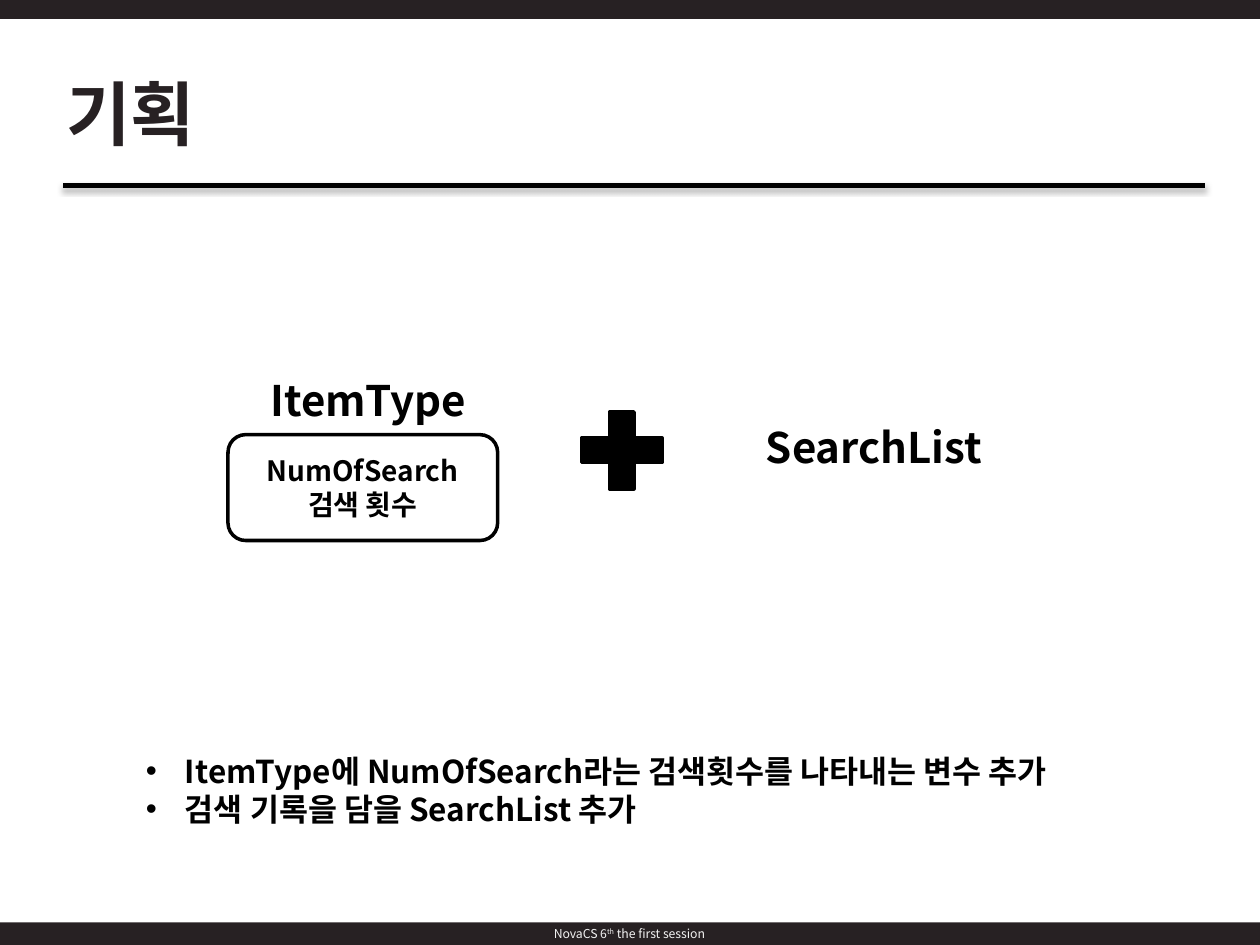
import pptx
import pptx.util
import pptx.dml.color
import pptx.enum.shapes
import pptx.enum.text
import pptx.oxml
import pptx.oxml.ns

KIND = pptx.enum.shapes.MSO_SHAPE
ALIGN = pptx.enum.text.PP_ALIGN
ANCHOR = pptx.enum.text.MSO_ANCHOR
FIT = pptx.enum.text.MSO_AUTO_SIZE
WIDE, HIGH = 10, 7.5
BAR = 0.18

THEME = {
    "font": "Noto Sans CJK KR",
    "ink": "000000", "dark": "272123", "pale": "F2F2F2", "edge": "D9D9D9",
    "title": 40, "head": 24, "body": 18, "box": 16, "foot": 7,
    "rule": 3, "line": 2, "glow": 0.75,
}

BARS = [-0.03, HIGH - BAR]
FOOT = [[("NovaCS 6", 0), ("th", 30), (" the first session", 0)]]
TEXTS = [
    ((0.43, 0.51, 4.5, 0.77), "title", "dark", ["기획"], False),
    ((1.06, 5.92, 7.88, 0.71), "body", "ink", [
        "ItemType에 NumOfSearch라는 검색횟수를 나타내는 변수 추가",
        "검색 기록을 담을 SearchList 추가"], True),
    ((2.05, 2.92, 1.8, 0.5), "head", "ink", ["ItemType"], False),
    ((5.98, 3.3, 1.97, 0.5), "head", "ink", ["SearchList"], False),
]
FIELD = ["NumOfSearch", "검색 횟수"]


def inch(*nums):
    return [pptx.util.Inches(n) for n in nums]


def tint(name):
    return pptx.dml.color.RGBColor.from_string(THEME[name])


def node(xml):
    return pptx.oxml.parse_xml(xml.replace(">", f' {pptx.oxml.ns.nsdecls("a")}>', 1))


def write(frame, paras, size, color, bold=True, align=None, edge=None, dots=False):
    frame.word_wrap = True
    for i, parts in enumerate(paras):
        para = frame.paragraphs[0] if i == 0 else frame.add_paragraph()
        para.alignment = align
        if dots:
            props = para._p.get_or_add_pPr()
            gap = pptx.util.Inches(0.31)
            props.set("marL", str(gap))
            props.set("indent", str(-gap))
            props.append(node('<a:buFont typeface="Arial"></a:buFont>'))
            props.append(node('<a:buChar char="•"></a:buChar>'))
        for text, base in parts:
            run = para.add_run()
            run.text = text
            font = run.font
            font.name, font.bold = THEME["font"], bold
            font.size = pptx.util.Pt(THEME[size])
            font.color.rgb = tint(color)
            props = run._r.get_or_add_rPr()
            latin = props.find(pptx.oxml.ns.qn("a:latin"))
            latin.addnext(node(f'<a:ea typeface="{THEME["font"]}"></a:ea>'))
            if base:
                props.set("baseline", str(base * 1000))
            if edge:
                wide = pptx.util.Pt(THEME["glow"])
                props.insert(0, node(
                    f'<a:ln w="{wide}"><a:solidFill><a:srgbClr val="{THEME[edge]}">'
                    '<a:alpha val="30000"/></a:srgbClr></a:solidFill></a:ln>'))


def draw(kind, spot, fill=None, line=None):
    item = slide.shapes.add_shape(kind, *inch(*spot))
    item.shadow.inherit = False
    if fill:
        item.fill.solid()
        item.fill.fore_color.rgb = tint(fill)
    else:
        item.fill.background()
    if line:
        item.line.color.rgb = tint(line)
        item.line.width = pptx.util.Pt(THEME["line"])
    else:
        item.line.fill.background()
    item.text_frame.vertical_anchor = ANCHOR.MIDDLE
    return item


def plain(rows):
    return [[(row, 0)] for row in rows]


deck = pptx.Presentation()
deck.slide_width, deck.slide_height = inch(WIDE, HIGH)
slide = deck.slides.add_slide(deck.slide_layouts[6])

bars = [draw(KIND.RECTANGLE, (-0.48, top, 10.95, BAR), "dark") for top in BARS]
write(bars[-1].text_frame, FOOT, "foot", "pale", False, ALIGN.CENTER, "edge")

rule = slide.shapes.add_connector(
    pptx.enum.shapes.MSO_CONNECTOR.STRAIGHT, *inch(0.5, 1.47, 9.56, 1.47))
rule.line.color.rgb = tint("ink")
rule.line.width = pptx.util.Pt(THEME["rule"])
blur, drop = pptx.util.Pt(3.1), pptx.util.Pt(1.8)
rule._element.spPr.append(node(
    f'<a:effectLst><a:outerShdw blurRad="{blur}" dist="{drop}" dir="5400000" '
    f'rotWithShape="0"><a:srgbClr val="{THEME["ink"]}"><a:alpha val="35000"/>'
    '</a:srgbClr></a:outerShdw></a:effectLst>'))

for spot, size, color, rows, dots in TEXTS:
    frame = slide.shapes.add_textbox(*inch(*spot)).text_frame
    frame.auto_size = FIT.SHAPE_TO_FIT_TEXT
    edge = "ink" if size == "title" else None
    write(frame, plain(rows), size, color, edge=edge, dots=dots)

field = draw(KIND.ROUNDED_RECTANGLE, (1.81, 3.45, 2.14, 0.84), line="ink")
write(field.text_frame, plain(FIELD), "box", "ink", align=ALIGN.CENTER)
draw(KIND.MATH_PLUS, (4.5, 3.16, 0.87, 0.83), "ink", "ink")

deck.save("out.pptx")
